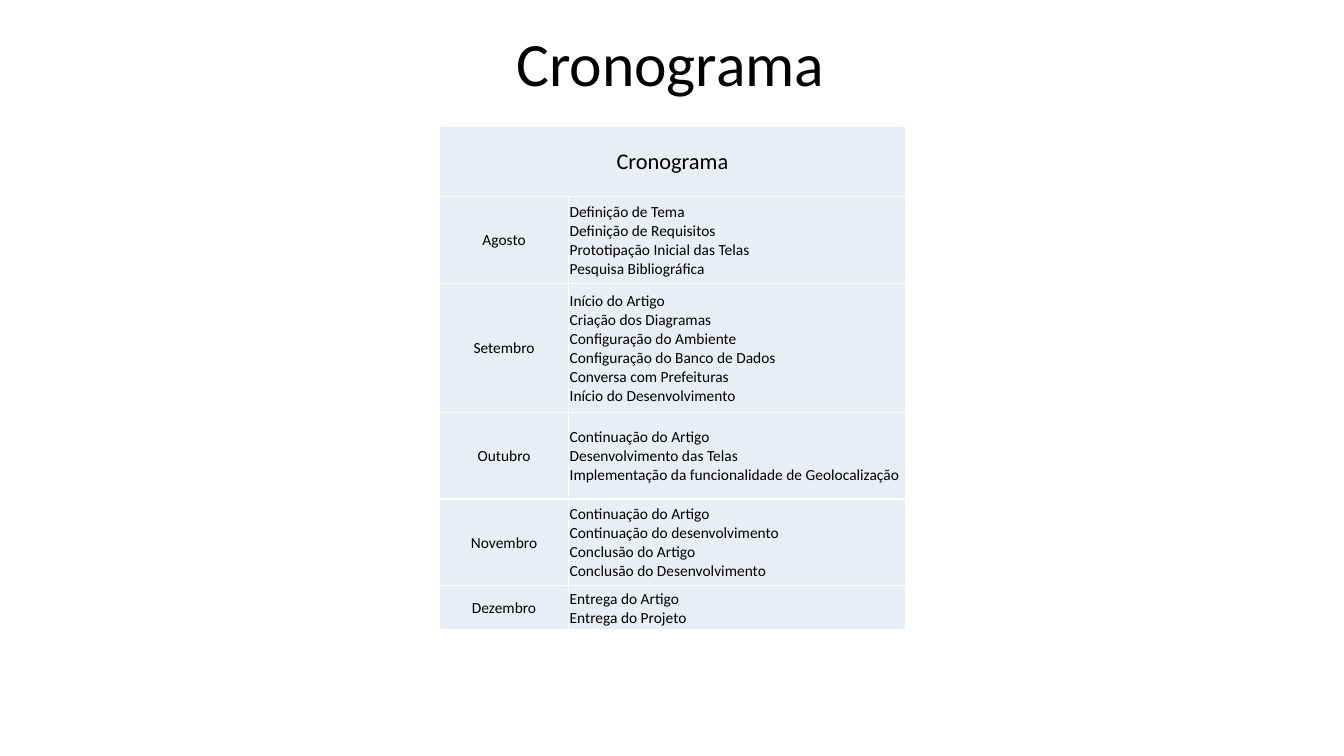
from dataclasses import dataclass

from lxml import etree
from pptx import Presentation
from pptx import util as u
from pptx.dml.color import RGBColor
from pptx.enum import text
from pptx.oxml.ns import qn

FONT = "Calibri"
BLACK, WHITE, CELL_FILL = "000000", "FFFFFF", "E9EDF4"
CENTER, LEFT = text.PP_ALIGN.CENTER, text.PP_ALIGN.LEFT


@dataclass
class Month:
    name: str
    height: float
    tasks: list[str]


MONTHS = [
    Month("Agosto", 0.86, [
        "Definição de Tema", "Definição de Requisitos",
        "Prototipação Inicial das Telas", "Pesquisa Bibliográfica"]),
    Month("Setembro", 1.28, [
        "Início do Artigo", "Criação dos Diagramas",
        "Configuração do Ambiente", "Configuração do Banco de Dados",
        "Conversa com Prefeituras", "Início do Desenvolvimento"]),
    Month("Outubro", 0.86, [
        "Continuação do Artigo", "Desenvolvimento das Telas",
        "Implementação da funcionalidade de Geolocalização"]),
    Month("Novembro", 0.86, [
        "Continuação do Artigo", "Continuação do desenvolvimento",
        "Conclusão do Artigo", "Conclusão do Desenvolvimento"]),
    Month("Dezembro", 0.44, ["Entrega do Artigo", "Entrega do Projeto"]),
]
HEADER_HEIGHT = 0.7
COLUMNS = [1.28, 3.34]


def rgb(value: str) -> RGBColor:
    return RGBColor.from_string(value)


def write(p, content: str, size: int, align) -> None:
    p.text = content
    p.alignment = align
    for r in p.runs:
        r.font.name = FONT
        r.font.size = u.Pt(size)
        r.font.color.rgb = rgb(BLACK)
    # Line breaks take the size of the text around them
    for br in p._p.findall(qn("a:br")):
        etree.SubElement(br, qn("a:rPr"), sz=str(size * 100))


def add_borders(cell, color: str) -> None:
    tc_pr = cell._tc.get_or_add_tcPr()
    for i, side in enumerate(("lnL", "lnR", "lnT", "lnB")):
        ln = etree.Element(qn(f"a:{side}"), w=str(u.Pt(1)))
        fill = etree.SubElement(ln, qn("a:solidFill"))
        etree.SubElement(fill, qn("a:srgbClr"), val=color)
        tc_pr.insert(i, ln)


def style_cell(cell) -> None:
    cell.fill.solid()
    cell.fill.fore_color.rgb = rgb(CELL_FILL)
    cell.vertical_anchor = text.MSO_ANCHOR.MIDDLE
    cell.margin_left = cell.margin_right = cell.margin_top = u.Inches(0.01)
    cell.margin_bottom = 0
    add_borders(cell, WHITE)


def fill_cell(cell, content: str, size: int, align) -> None:
    write(cell.text_frame.paragraphs[0], content, size, align)


def add_title(slide, content: str) -> None:
    sp = slide.shapes.add_textbox(
        u.Inches(5.12), u.Inches(0.25), u.Inches(3.1), u.Inches(0.76))
    tf = sp.text_frame
    tf.margin_left = tf.margin_right = tf.margin_top = tf.margin_bottom = 0
    tf.word_wrap = True
    write(tf.paragraphs[0], content, 44, LEFT)


def add_schedule(slide, months: list[Month]) -> None:
    heights = [HEADER_HEIGHT] + [m.height for m in months]
    table = slide.shapes.add_table(
        len(heights), len(COLUMNS), u.Inches(4.36), u.Inches(1.25),
        u.Inches(sum(COLUMNS)), u.Inches(sum(heights))).table
    table.first_row = table.horz_banding = False
    for column, width in zip(table.columns, COLUMNS):
        column.width = u.Inches(width)
    for row, height in zip(table.rows, heights):
        row.height = u.Inches(height)
    for cell in table.iter_cells():
        style_cell(cell)

    # Header across both columns
    table.cell(0, 0).merge(table.cell(0, 1))
    fill_cell(table.cell(0, 0), "Cronograma", 16, CENTER)

    # One row per month
    for i, month in enumerate(months, start=1):
        fill_cell(table.cell(i, 0), month.name, 11, CENTER)
        fill_cell(table.cell(i, 1), "\n".join(month.tasks), 11, LEFT)


def main() -> None:
    prs = Presentation()
    prs.slide_width, prs.slide_height = u.Inches(13.33), u.Inches(7.5)
    slide = prs.slides.add_slide(prs.slide_layouts[6])
    add_title(slide, "Cronograma")
    add_schedule(slide, MONTHS)
    prs.save("out.pptx")


if __name__ == "__main__":
    main()
